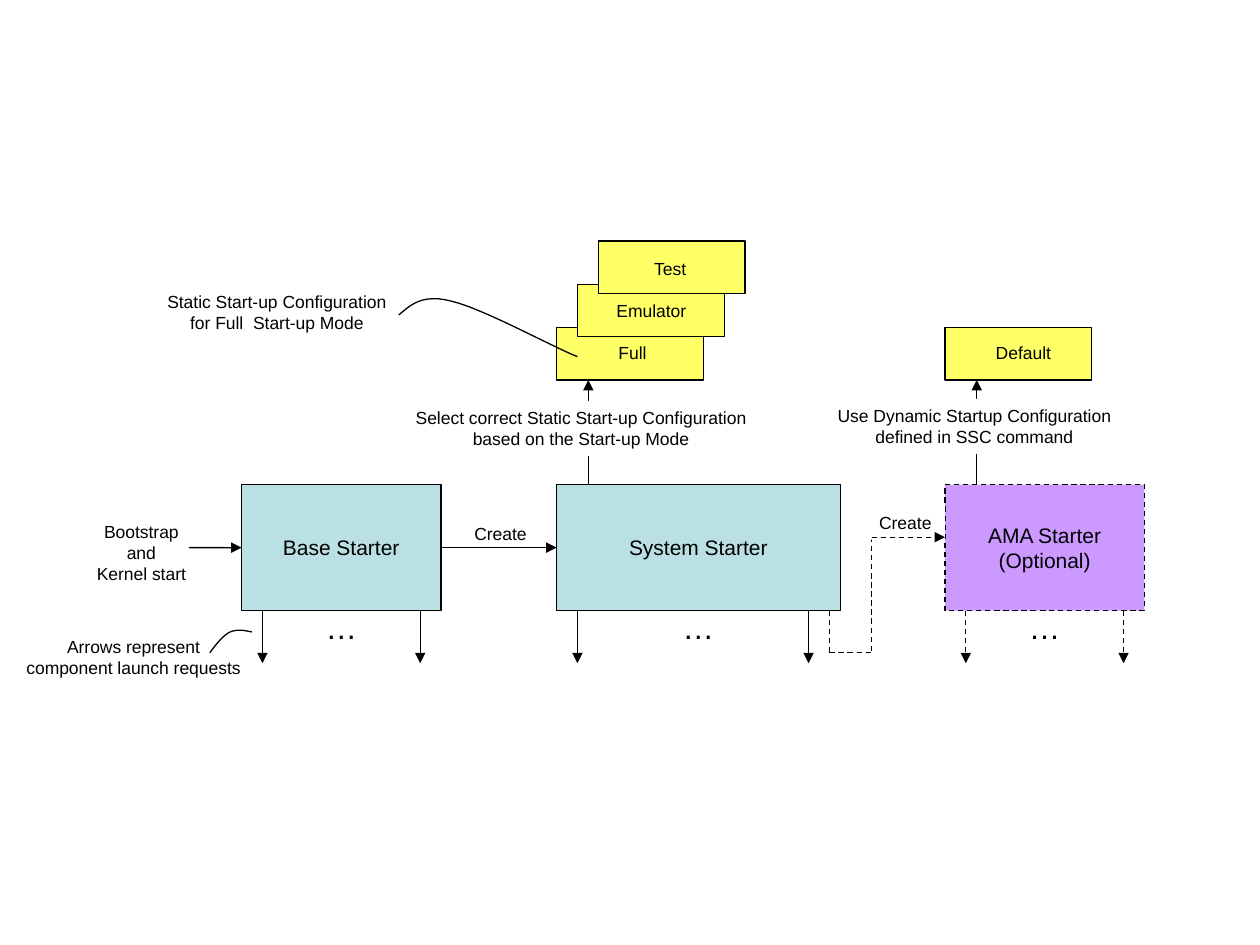
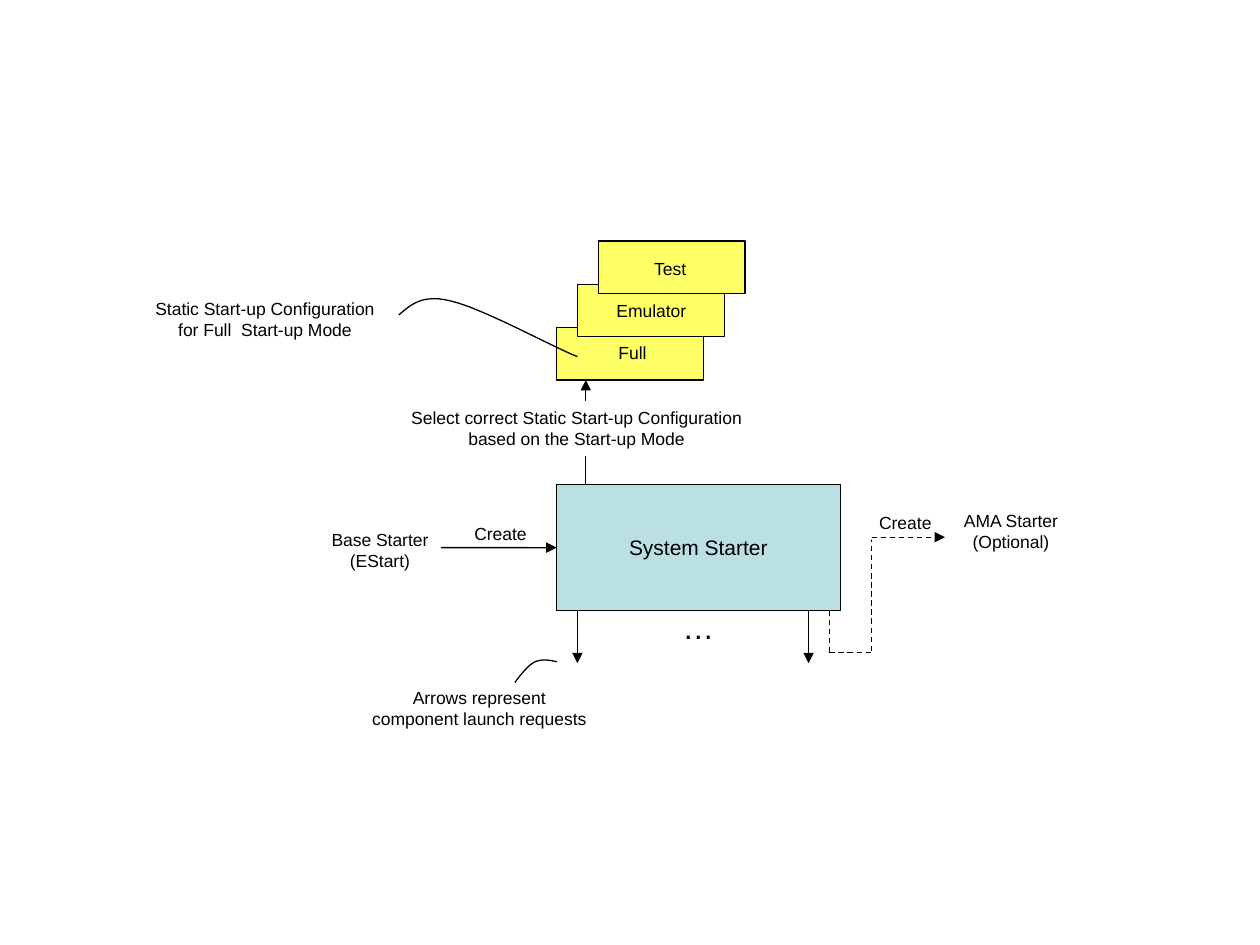
"""Build two slides on how the starters launch at boot."""
from pptx import Presentation
from pptx.dml.color import RGBColor
from pptx.enum.dml import MSO_LINE
from pptx.enum.shapes import MSO_CONNECTOR, MSO_SHAPE
from pptx.enum.text import MSO_ANCHOR, MSO_AUTO_SIZE, PP_ALIGN
from pptx.oxml.ns import qn
from pptx.util import Cm, Pt
from lxml import etree

BLACK = RGBColor(0x00, 0x00, 0x00)
WHITE = RGBColor(0xFF, 0xFF, 0xFF)
TEAL = RGBColor(0xBB, 0xE0, 0xE3)
PURPLE = RGBColor(0xCC, 0x99, 0xFF)
YELLOW = RGBColor(0xFF, 0xFF, 0x66)
DASH = MSO_LINE.DASH
RECT = MSO_SHAPE.RECTANGLE
LINE = MSO_CONNECTOR.STRAIGHT
CENTER = PP_ALIGN.CENTER
MIDDLE = MSO_ANCHOR.MIDDLE
GROW = MSO_AUTO_SIZE.SHAPE_TO_FIT_TEXT
BLANK = 6

TOP, HIGH = 9.77, 2.54
MID, BASE = TOP + HIGH / 2, TOP + HIGH
BASE_X, SYS_X, AMA_X = 4.87, 11.22, 19.05
SIDE_W, SYS_W = 4.02, 5.72
CARD_Y, CARD_W, CARD_H = 6.6, 2.96, 1.06
CARD_END = CARD_Y + CARD_H
INSET = 0.42
LABEL_Y = 6.77
LOOP_X, LOOP_Y = 17.57, 10.83

LONG = [(0, 0), (0.24, -0.2), (0.47, -0.43), (1.05, -0.28),
        (1.66, -0.15), (3.19, 0.69), (3.6, 0.84)]
SHORT = [(0, 0), (0.13, -0.18), (0.28, -0.36), (0.41, -0.42),
         (0.56, -0.48), (0.7, -0.45), (0.85, -0.42)]


def write(frame, text, size=10, font="Arial", color=BLACK, align=CENTER):
    frame.word_wrap = False
    for row, line in enumerate(text.split("\n")):
        para = frame.add_paragraph() if row else frame.paragraphs[0]
        para.alignment = align
        run = para.add_run()
        run.text = line
        run.font.size = Pt(size)
        run.font.name = font
        run.font.color.rgb = color


def bezier(points, steps=12):
    for n in range(0, len(points) - 1, 3):
        a, b, c, d = points[n:n + 4]
        for step in range(1, steps + 1):
            t = step / steps
            u = 1 - t
            yield [u**3 * p + 3 * u * u * t * q + 3 * u * t * t * r + t**3 * s
                   for p, q, r, s in zip(a, b, c, d)]


class Deck:
    def __init__(self):
        self.show = Presentation()
        self.show.slide_width = Cm(25.4)
        self.show.slide_height = Cm(19.05)
        self.shapes = None

    def page(self):
        layout = self.show.slide_layouts[BLANK]
        self.shapes = self.show.slides.add_slide(layout).shapes

    def stroke(self, line, dash=None):
        line.color.rgb = BLACK
        line.width = Pt(0.75)
        if dash:
            line.dash_style = dash

    def box(self, x, y, w, h, fill, text="", dash=None):
        box = self.shapes.add_shape(RECT, Cm(x), Cm(y), Cm(w), Cm(h))
        box.shadow.inherit = False
        box.fill.solid()
        box.fill.fore_color.rgb = fill
        self.stroke(box.line, dash)
        if text:
            box.text_frame.vertical_anchor = MIDDLE
            write(box.text_frame, text, size=12)
        return box

    def label(self, text, mid, y, w, fill=None, size=10):
        high = 0.27 + 0.042 * size * (text.count("\n") + 1)
        box = self.shapes.add_textbox(Cm(mid - w / 2), Cm(y), Cm(w), Cm(high))
        if fill:
            box.fill.solid()
            box.fill.fore_color.rgb = fill
        write(box.text_frame, text, size=size)
        box.text_frame.auto_size = GROW

    def line(self, x1, y1, x2, y2, dash=None, arrow=True, begin=None, end=None):
        line = self.shapes.add_connector(LINE, Cm(x1), Cm(y1), Cm(x2), Cm(y2))
        if begin:
            line.begin_connect(begin, 3)
        if end:
            line.end_connect(end, 1)
        self.stroke(line.line, dash)
        props = line._element.spPr
        if arrow:
            tail = etree.SubElement(props.find(qn("a:ln")), qn("a:tailEnd"))
            tail.set("type", "triangle")
        etree.SubElement(props, qn("a:effectLst"))

    def curve(self, x, y, points):
        pen = self.shapes.build_freeform(Cm(x), Cm(y))
        pen.add_line_segments([(Cm(x + dx), Cm(y + dy))
                               for dx, dy in bezier(points)], close=False)
        shape = pen.convert_to_shape()
        shape.shadow.inherit = False
        shape.fill.background()
        self.stroke(shape.line)

    def starter(self, text, x, w, fill=TEAL, dash=None, inset=INSET):
        box = self.box(x, TOP, w, HIGH, fill, text, dash)
        for stub in (x + INSET, x + w - inset):
            self.line(stub, BASE, stub, BASE + 1.06, dash)
        self.label("…", x + w / 2, 12.13, 1.14, size=18)
        return box

    def launch(self, pick, text_mid, note_mid, note_y, base=None):
        system = self.starter("System Starter", SYS_X, SYS_W, inset=0.64)
        for n in range(3):
            self.box(SYS_X + 0.42 * n, CARD_Y - 0.87 * n, CARD_W, CARD_H, YELLOW)
        out, low = SYS_X + SYS_W - 0.22, BASE + 0.85
        self.line(out, BASE, out, low, DASH, arrow=False)
        self.line(out, low, LOOP_X, low, DASH, arrow=False)
        self.line(LOOP_X, LOOP_Y, LOOP_X, low, DASH, arrow=False)
        self.line(pick, TOP, pick, CARD_END)
        self.label("Select correct Static Start-up Configuration\n"
                   "based on the Start-up Mode", text_mid, 8.08, 7.16, WHITE)
        for mid, y in ((10.09, 10.41), (18.25, 10.19)):
            self.label("Create", mid, y, 1.6, WHITE)
        self.line(LOOP_X, LOOP_Y, AMA_X, LOOP_Y, DASH)
        self.line(BASE_X + SIDE_W, MID, SYS_X, MID, begin=base, end=system)
        self.label("Static Start-up Configuration\nfor Full  Start-up Mode",
                   note_mid, note_y, 4.95, WHITE)
        self.curve(8.04, 6.35, LONG)
        cards = [("Full", 1.17), ("Emulator", 2), ("Test", 1.3)]
        for n, (name, w) in enumerate(cards):
            self.label(name, 12.75 + 0.38 * n, LABEL_Y - 0.85 * n, w)

    def note(self, mid, y, x, start):
        self.label("Arrows represent\ncomponent launch requests", mid, y, 4.9)
        self.curve(x, start, SHORT)


def full(deck):
    deck.page()
    base = deck.starter("Base Starter", BASE_X, SIDE_W)
    deck.starter("AMA Starter\n(Optional)", AMA_X, SIDE_W, PURPLE, DASH)
    deck.launch(11.86, 11.71, 5.58, 5.75, base)
    deck.line(AMA_X + 0.64, TOP, AMA_X + 0.64, CARD_END)
    deck.box(AMA_X, CARD_Y, CARD_W, CARD_H, YELLOW)
    deck.label("Default", 20.63, LABEL_Y, 1.7)
    deck.label("Use Dynamic Startup Configuration\ndefined in SSC command",
               19.64, 8.04, 6.05, WHITE)
    deck.label("Bootstrap\nand\nKernel start", 2.85, 10.37, 2.4)
    deck.line(3.81, MID, BASE_X, MID, end=base)
    deck.note(2.69, 12.7, 4.23, 13.16)


def system(deck):
    deck.page()
    deck.launch(11.81, 11.62, 5.34, 5.88)
    deck.label("Base Starter\n(EStart)", 7.66, 10.53, 2.46, WHITE)
    deck.label("AMA Starter\n(Optional)", 20.38, 10.15, 2.46, WHITE)
    deck.note(9.66, 13.72, 10.38, 13.76)


def main():
    deck = Deck()
    full(deck)
    system(deck)
    deck.show.save("out.pptx")


if __name__ == "__main__":
    main()
